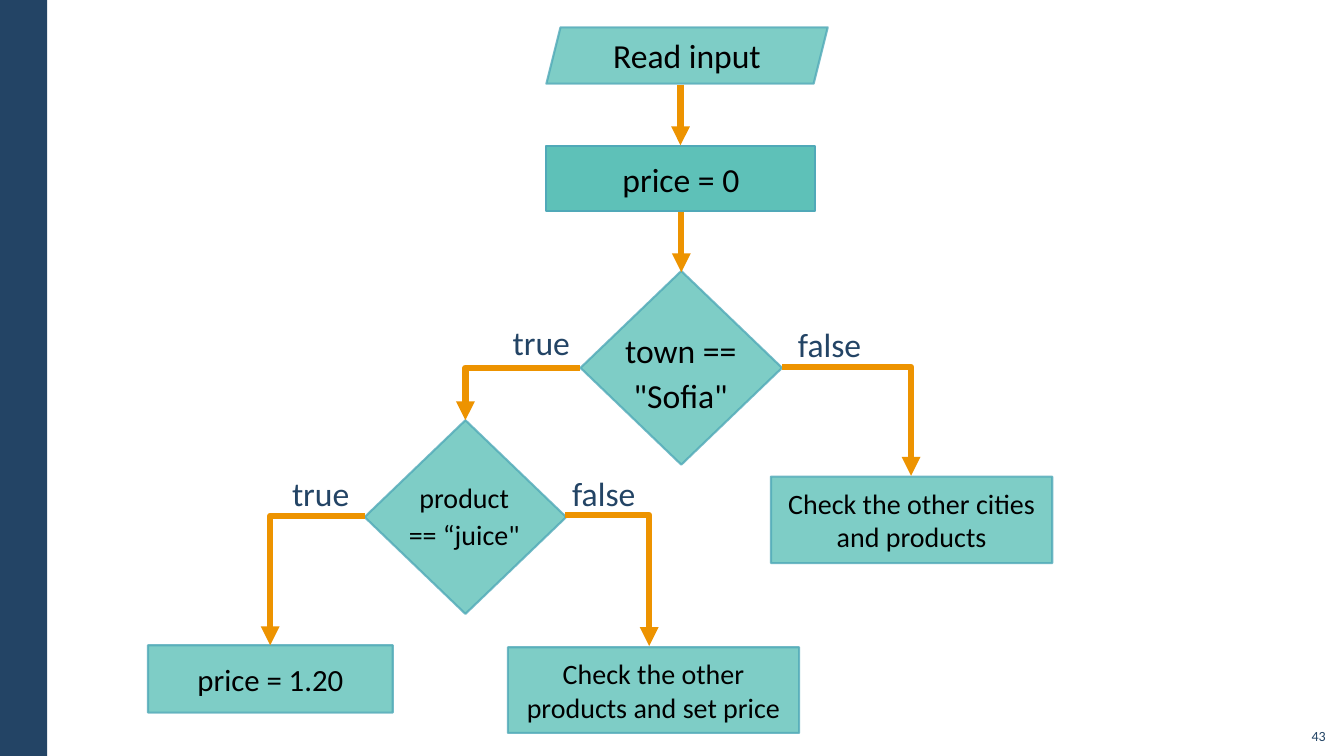
from dataclasses import dataclass

from lxml.etree import SubElement
from pptx import Presentation
from pptx.dml.color import RGBColor
from pptx.enum.shapes import MSO_CONNECTOR, MSO_SHAPE
from pptx.enum.text import MSO_ANCHOR, PP_ALIGN
from pptx.oxml.ns import qn
from pptx.slide import Slide
from pptx.text.text import TextFrame
from pptx.util import Cm, Pt


@dataclass(frozen=True)
class Theme:
    font: str = "Calibri"
    navy: RGBColor = RGBColor(0x23, 0x44, 0x65)
    teal: RGBColor = RGBColor(0x5E, 0xC1, 0xB8)
    outline: RGBColor = RGBColor(0x50, 0xA9, 0xB8)
    orange: RGBColor = RGBColor(0xED, 0x93, 0x00)
    black: RGBColor = RGBColor(0, 0, 0)
    large: int = 24
    medium: int = 22
    small: int = 20
    tiny: int = 10
    outline_width: float = 1.5
    arrow_width: float = 4.5


THEME = Theme()


@dataclass(frozen=True)
class Node:
    kind: MSO_SHAPE
    left: float
    top: float
    width: float
    height: float
    text: str = ""
    size: int = THEME.large
    opacity: int = 80


@dataclass(frozen=True)
class Label:
    text: str
    left: float
    top: float
    width: float
    height: float = 1.68
    size: int = THEME.large
    color: RGBColor = THEME.navy
    alignment: PP_ALIGN = PP_ALIGN.LEFT
    wrap: bool = True


@dataclass(frozen=True)
class Arrow:
    start_x: float
    start_y: float
    end_x: float
    end_y: float


NODES = [
    Node(MSO_SHAPE.PARALLELOGRAM, 13.77, 0.69, 7.09, 1.42, "Read input"),
    Node(MSO_SHAPE.RECTANGLE, 13.77, 3.68, 6.78, 1.65, "price = 0", opacity=100),
    Node(MSO_SHAPE.RECTANGLE, 3.73, 16.26, 6.17, 1.7, "price = 1.20", THEME.medium),
    Node(MSO_SHAPE.RECTANGLE, 19.43, 12.01, 7.09, 2.18,
         "Check the other cities\nand products", THEME.small),
    Node(MSO_SHAPE.RECTANGLE, 12.8, 16.31, 7.34, 2.16,
         "Check the other products and set price", THEME.small),
    Node(MSO_SHAPE.DIAMOND, 14.63, 6.83, 5.08, 4.88),
    Node(MSO_SHAPE.DIAMOND, 9.19, 10.59, 5.08, 4.88),
]

ARROWS = [
    Arrow(17.15, 2.13, 17.15, 3.66),
    Arrow(17.17, 5.33, 17.17, 6.86),
    Arrow(14.63, 9.27, 11.73, 10.59),
    Arrow(19.71, 9.25, 22.96, 11.99),
    Arrow(9.19, 13, 6.81, 16.26),
    Arrow(14.25, 12.98, 16.36, 16.28),
]

LABELS = [
    Label('town ==\v"Sofia"', 15.34, 7.92, 3.63, 2.79,
          color=THEME.black, alignment=PP_ALIGN.CENTER, wrap=False),
    Label('product\v== “juice"', 9.63, 11.73, 4.14, 2.44,
          THEME.small, THEME.black, PP_ALIGN.CENTER),
    Label("true", 12.52, 7.72, 2.41),
    Label("false", 19.71, 7.75, 2.62),
    Label("true", 6.96, 11.51, 2.62),
    Label("false", 14.02, 11.51, 2.41),
]


def write_text(frame: TextFrame, text: str, size: int, color: RGBColor,
               alignment: PP_ALIGN, spacing: float = 1.0) -> None:
    frame.text = text
    for paragraph in frame.paragraphs:
        paragraph.alignment = alignment
        paragraph.line_spacing = spacing
        paragraph.font.name = THEME.font
        paragraph.font.size = Pt(size)
        paragraph.font.color.rgb = color


def draw_sidebar(slide: Slide, height: int) -> None:
    shape = slide.shapes.add_shape(MSO_SHAPE.RECTANGLE, 0, 0, Cm(1.19), height)
    shape.shadow.inherit = False
    shape.fill.solid()
    shape.fill.fore_color.rgb = THEME.navy
    shape.line.fill.background()


def draw_node(slide: Slide, node: Node) -> None:
    shape = slide.shapes.add_shape(
        node.kind, Cm(node.left), Cm(node.top), Cm(node.width), Cm(node.height))
    shape.shadow.inherit = False
    shape.fill.solid()
    shape.fill.fore_color.rgb = THEME.teal
    shape.line.color.rgb = THEME.outline
    shape.line.width = Pt(THEME.outline_width)
    if node.opacity < 100:
        for color in shape.element.spPr.iter(qn("a:srgbClr")):
            SubElement(color, qn("a:alpha"), val=str(node.opacity * 1000))
    if node.text:
        shape.text_frame.vertical_anchor = MSO_ANCHOR.MIDDLE
        write_text(shape.text_frame, node.text, node.size, THEME.black, PP_ALIGN.CENTER)


def draw_arrow(slide: Slide, arrow: Arrow) -> None:
    straight = arrow.start_x == arrow.end_x
    connector = slide.shapes.add_connector(
        MSO_CONNECTOR.STRAIGHT if straight else MSO_CONNECTOR.ELBOW,
        Cm(arrow.start_x), Cm(arrow.start_y), Cm(arrow.end_x), Cm(arrow.end_y))
    connector.line.color.rgb = THEME.orange
    connector.line.width = Pt(THEME.arrow_width)
    properties = connector.element.spPr
    if not straight:
        properties.find(qn("a:prstGeom")).set("prst", "bentConnector2")
    SubElement(properties.find(qn("a:ln")), qn("a:tailEnd"), type="triangle")
    SubElement(properties, qn("a:effectLst"))


def draw_label(slide: Slide, label: Label) -> None:
    box = slide.shapes.add_textbox(
        Cm(label.left), Cm(label.top), Cm(label.width), Cm(label.height))
    frame = box.text_frame
    frame.word_wrap = label.wrap
    frame.margin_left = frame.margin_right = Cm(0.4)
    frame.margin_top = frame.margin_bottom = Cm(0.3)
    write_text(frame, label.text, label.size, label.color, label.alignment, 1.1)


def draw_slide_number(slide: Slide, number: int) -> None:
    box = slide.shapes.add_textbox(Cm(32.64), Cm(18.08), Cm(1.02), Cm(0.81))
    box.text_frame.word_wrap = True
    box.text_frame.vertical_anchor = MSO_ANCHOR.BOTTOM
    write_text(box.text_frame, str(number), THEME.tiny, THEME.navy, PP_ALIGN.RIGHT)


def main() -> None:
    presentation = Presentation()
    presentation.slide_width = Cm(33.87)
    presentation.slide_height = Cm(19.05)
    slide = presentation.slides.add_slide(presentation.slide_layouts[6])
    draw_sidebar(slide, presentation.slide_height)
    for node in NODES:
        draw_node(slide, node)
    for arrow in ARROWS:
        draw_arrow(slide, arrow)
    for label in LABELS:
        draw_label(slide, label)
    draw_slide_number(slide, 43)
    presentation.save("out.pptx")


if __name__ == "__main__":
    main()
